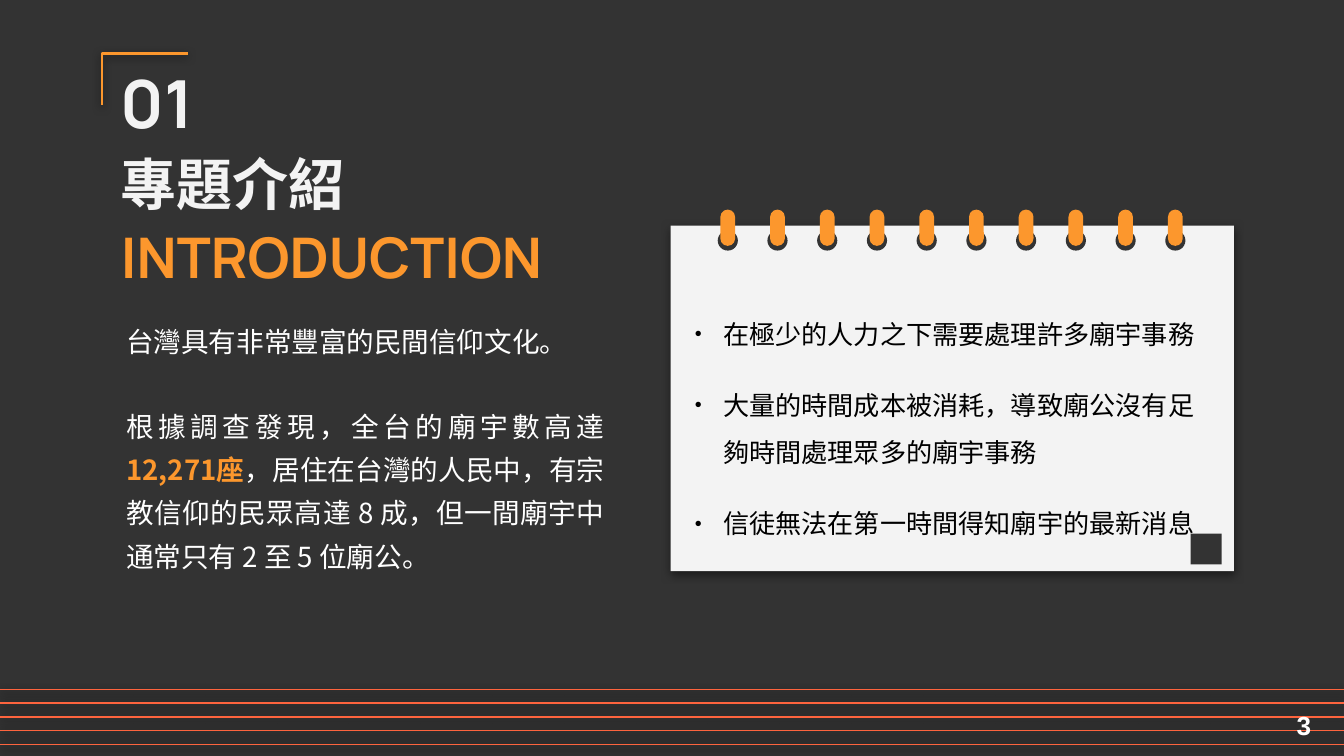
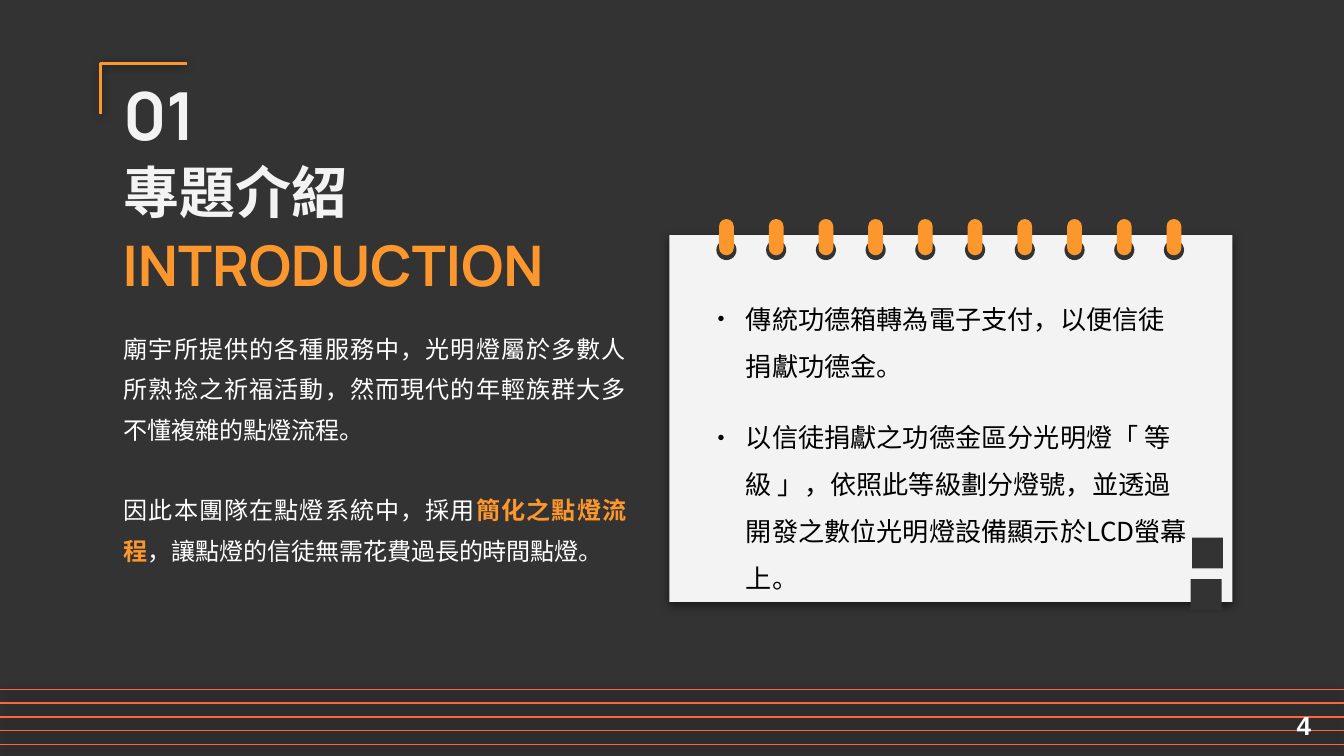
"""Builds two dark introduction slides, each with a notepad list."""
from lxml import etree
from pptx import Presentation
from pptx.dml.color import RGBColor
from pptx.enum.shapes import MSO_CONNECTOR, MSO_SHAPE
from pptx.enum.text import MSO_ANCHOR, MSO_AUTO_SIZE, PP_ALIGN
from pptx.oxml.ns import qn
from pptx.util import Emu, Inches, Pt

RECTANGLE, OVAL, ROUNDED = MSO_SHAPE.RECTANGLE, MSO_SHAPE.OVAL, MSO_SHAPE.ROUNDED_RECTANGLE
STRAIGHT = MSO_CONNECTOR.STRAIGHT
TOP, NO_FIT = MSO_ANCHOR.TOP, MSO_AUTO_SIZE.NONE
LEFT, JUSTIFY = PP_ALIGN.LEFT, PP_ALIGN.JUSTIFY

COLORS = {"dark": "333333", "paper": "F3F3F3", "orange": "FC972D",
          "stripe": "FE643E", "white": "FFFFFF", "black": "000000"}
DISPLAY, TEXT, NUMBER = "Manrope", "Noto Sans CJK JP", "Arial"
SLIDE_WIDTH, SLIDE_HEIGHT = Inches(10), Inches(5.625)
COLUMNS = 100
CELL = SLIDE_WIDTH / COLUMNS
RING_COUNT, RING_STEP = 10, 3.7
STRIPE_COUNT, STRIPE_STEP = 5, 1.02

SLIDES = [
    {
        "number": "3",
        "frame": (7.6, 4),
        "section": (8, 3.6),
        "title": (8, 10),
        "english": (9, 16.4),
        "body": (8.4, 22.4, 37.6, 21.9),
        "body_style": {"size": 14.8, "spacing": 1.3, "gap": 23},
        "paragraphs": [
            [("台灣具有非常豐富的民間信仰文化。", False)],
            [("根據調查發現，全台的廟宇數高達", False), ("12,271座", True),
             ("，居住在台灣的人民中，有宗教信仰的民眾高達 8 成，"
              "但一間廟宇中通常只有 2 至 5 位廟公。", False)],
        ],
        "notepad": (49.9, 16.8, 41.9, 25.7),
        "corners": [(88.6, 39.7)],
        "list": (51.7, 22.5, 38.3, 17.4),
        "items": ["在極少的人力之下需要處理許多廟宇事務",
                  "大量的時間成本被消耗，導致廟公沒有足夠時間處理眾多的廟宇事務",
                  "信徒無法在第一時間得知廟宇的最新消息"],
    },
    {
        "number": "4",
        "frame": (7.5, 4.7),
        "section": (8.2, 4.5),
        "title": (8.2, 10.6),
        "english": (9.1, 17),
        "body": (8.2, 23, 39.4, 21.9),
        "body_style": {"size": 12.9, "spacing": 1.4, "gap": 21.6},
        "paragraphs": [
            [("廟宇所提供的各種服務中，光明燈屬於多數人所熟捻之祈福活動，"
              "然而現代的年輕族群大多不懂複雜的點燈流程。", False)],
            [("因此本團隊在點燈系統中，採用", False), ("簡化之點燈流程", True),
             ("，讓點燈的信徒無需花費過長的時間點燈。", False)],
        ],
        "notepad": (49.8, 17.5, 41.9, 27.3),
        "corners": [(88.6, 43.1), (88.7, 40)],
        "list": (53.4, 21.4, 35.2, 22.6),
        "items": ["傳統功德箱轉為電子支付，以便信徒捐獻功德金。",
                  "以信徒捐獻之功德金區分光明燈「 等級 」，依照此等級劃分燈號，"
                  "並透過開發之數位光明燈設備顯示於LCD螢幕上。"],
    },
]


def cells(*counts):
    """Turn grid counts into lengths."""
    return [Emu(round(count * CELL)) for count in counts]


def color(name):
    """Look up a palette colour."""
    return RGBColor.from_string(COLORS[name])


def add_shadow(shape):
    """Give a shape or connector the soft shadow that falls below it."""
    properties = shape._element.spPr
    for old in properties.findall(qn("a:effectLst")):
        properties.remove(old)
    effects = etree.SubElement(properties, qn("a:effectLst"))
    shadow = etree.SubElement(effects, qn("a:outerShdw"), blurRad=str(Pt(5)),
                              dist=str(Pt(1.5)), dir="5400000", algn="bl", rotWithShape="0")
    tint = etree.SubElement(shadow, qn("a:srgbClr"), val=COLORS["black"])
    etree.SubElement(tint, qn("a:alpha"), val="50000")


def add_block(shapes, kind, box, fill):
    """Add a filled preset shape without outline or shadow."""
    shape = shapes.add_shape(kind, *cells(*box))
    shape.fill.solid()
    shape.fill.fore_color.rgb = color(fill)
    shape.line.fill.background()
    shape.shadow.inherit = False
    return shape


def add_run(paragraph, text, font_name, size, fill, bold=False):
    """Add one formatted run, with a font for East Asian letters."""
    run = paragraph.add_run()
    run.text = text
    run.font.name, run.font.size, run.font.bold = font_name, Pt(size), bold
    run.font.color.rgb = color(fill)
    etree.SubElement(run._r.get_or_add_rPr(), qn("a:ea"), typeface=TEXT)


def set_frame(shape, inset, wrap=True):
    """Set inset, wrapping and top anchor, and return the text frame."""
    frame = shape.text_frame
    frame.auto_size, frame.word_wrap, frame.vertical_anchor = NO_FIT, wrap, TOP
    frame.margin_left = frame.margin_right = frame.margin_top = frame.margin_bottom = Inches(inset)
    return frame


def move(shape, box):
    """Place a shape on the grid."""
    shape.left, shape.top, shape.width, shape.height = cells(*box)


def add_paragraph(frame, index, spacing, gap=0, alignment=LEFT):
    """Return the paragraph at an index, with space only after the first one."""
    paragraph = frame.add_paragraph() if index else frame.paragraphs[0]
    paragraph.alignment, paragraph.line_spacing = alignment, spacing
    paragraph.space_before = Pt(gap if index else 0)
    return paragraph


def write_heading(shape, text, size, leading, fill, inset=0.1, wrap=True):
    """Write one bold heading line."""
    paragraph = add_paragraph(set_frame(shape, inset, wrap), 0, Pt(leading))
    add_run(paragraph, text, DISPLAY, size, fill, True)


def add_headings(slide, content):
    """Add the section number, the title and its English form."""
    size = (38.3, 7.9)
    move(slide.shapes.title, content["title"] + size)
    write_heading(slide.shapes.title, "專題介紹", 30, 37, "paper")
    section = slide.shapes.add_textbox(*cells(*content["section"], *size))
    write_heading(section, "01", 35.5, 43, "paper")
    english = slide.shapes.add_textbox(*cells(*content["english"], 32.1, 5))
    write_heading(english, "INTRODUCTION", 30, 37, "orange", 0, False)


def fill_body(slide, content):
    """Write the justified text with orange emphasis."""
    body, style = slide.placeholders[1], content["body_style"]
    move(body, content["body"])
    body.fill.solid()
    body.fill.fore_color.rgb = color("dark")
    frame = set_frame(body, 0.1)
    for index, runs in enumerate(content["paragraphs"]):
        paragraph = add_paragraph(frame, index, style["spacing"], style["gap"], JUSTIFY)
        properties = paragraph._p.get_or_add_pPr()
        properties.set("marL", "0")
        properties.set("indent", "0")
        etree.SubElement(properties, qn("a:buNone"))
        for text, strong in runs:
            add_run(paragraph, text, TEXT, style["size"], "orange" if strong else "white", strong)


def add_corner_frame(slide, origin):
    """Draw the open orange angle above the section number."""
    left, top = origin
    right, bottom = left + 6.4, top + 3.8
    builder = slide.shapes.build_freeform(*cells(left, bottom))
    builder.add_line_segments([cells(left, top), cells(right, top)], close=False)
    angle = builder.convert_to_shape()
    angle.fill.background()
    angle.line.color.rgb = color("orange")
    angle.line.width = Pt(1.5)
    add_shadow(angle)


def add_stripes(slide):
    """Draw the evenly spaced lines along the foot of the slide."""
    stripes = slide.shapes.add_group_shape().shapes
    for index in range(STRIPE_COUNT):
        height = 51.3 + index * STRIPE_STEP
        line = stripes.add_connector(STRAIGHT, *cells(0, height, COLUMNS, height))
        line.line.color.rgb = color("stripe")
        line.line.width = Pt(0.75)
        add_shadow(line)


def add_notepad(slide, content):
    """Draw the ring-bound sheet with its corner squares."""
    shapes = slide.shapes.add_group_shape().shapes
    left, top = content["notepad"][:2]
    add_shadow(add_block(shapes, RECTANGLE, content["notepad"], "paper"))
    for index in range(RING_COUNT):
        hole = left + 3.5 + index * RING_STEP
        add_block(shapes, OVAL, (hole, top + 0.35, 1.5, 1.5), "dark")
        ring = add_block(shapes, ROUNDED, (hole + 0.2, top - 1.2, 1.1, 2.7), "orange")
        ring.adjustments[0] = 0.5
    for corner in content["corners"]:
        add_block(shapes, RECTANGLE, corner + (2.3, 2.3), "dark")


def add_bullets(slide, content):
    """Write the bulleted list on the sheet."""
    frame = set_frame(slide.shapes.add_textbox(*cells(*content["list"])), 0)
    for index, text in enumerate(content["items"]):
        paragraph = add_paragraph(frame, index, 1.5, 13)
        properties = paragraph._p.get_or_add_pPr()
        properties.set("marL", str(Inches(0.21)))
        properties.set("indent", str(-Inches(0.21)))
        etree.SubElement(properties, qn("a:buSzPct"), val="76000")
        etree.SubElement(properties, qn("a:buFont"), typeface=NUMBER)
        etree.SubElement(properties, qn("a:buChar"), char="•")
        add_run(paragraph, text, TEXT, 14, "black")


def add_page_number(slide, number):
    """Write the page number at the lower right."""
    box = slide.shapes.add_textbox(*cells(95.5, 52.3, 4.2, 3.4))
    frame = box.text_frame
    frame.word_wrap = False
    add_run(frame.paragraphs[0], number, NUMBER, 14, "white", True)


def add_slide(presentation, content):
    """Build one introduction slide."""
    slide = presentation.slides.add_slide(presentation.slide_layouts[1])
    slide.background.fill.solid()
    slide.background.fill.fore_color.rgb = color("dark")
    fill_body(slide, content)
    add_headings(slide, content)
    add_stripes(slide)
    add_notepad(slide, content)
    add_bullets(slide, content)
    add_corner_frame(slide, content["frame"])
    add_page_number(slide, content["number"])


def main():
    """Build and save the presentation."""
    presentation = Presentation()
    presentation.slide_width, presentation.slide_height = SLIDE_WIDTH, SLIDE_HEIGHT
    for content in SLIDES:
        add_slide(presentation, content)
    presentation.save("out.pptx")


if __name__ == "__main__":
    main()
